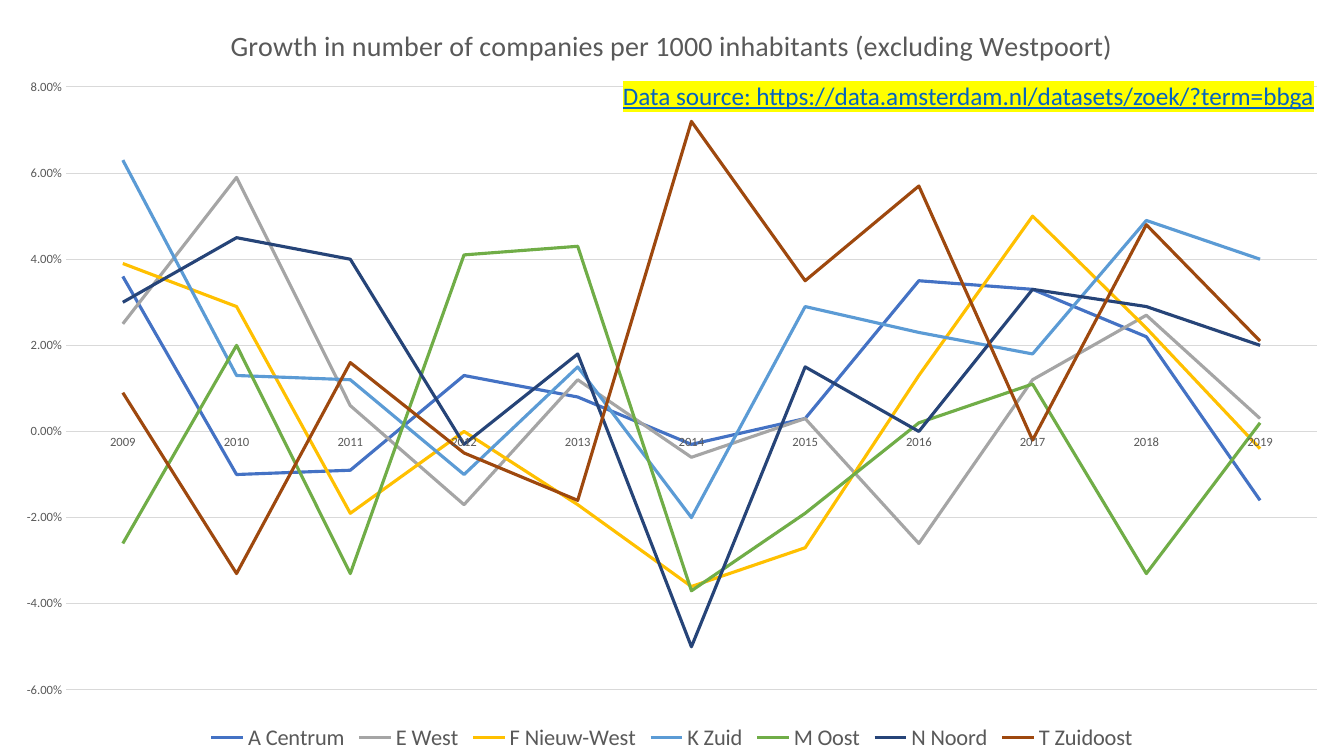
import lxml.etree
import pptx
import pptx.chart.data
import pptx.dml.color
import pptx.enum.chart
import pptx.enum.text
import pptx.oxml
import pptx.oxml.ns
import pptx.util

RGBColor = pptx.dml.color.RGBColor
EMU_PER_PX = 12192000 / 1344
SLIDE_WIDTH, SLIDE_HEIGHT = 1344, 756
FONT = "Calibri"

TEXT_GREY = RGBColor(0x59, 0x59, 0x59)
GRID_GREY = RGBColor(0xD9, 0xD9, 0xD9)
LINK_BLUE = RGBColor(0x05, 0x63, 0xC1)
HIGHLIGHT_YELLOW = RGBColor(0xFF, 0xFF, 0x00)

TITLE = "Growth in number of companies per 1000 inhabitants (excluding Westpoort)"
SOURCE = "Data source: https://data.amsterdam.nl/datasets/zoek/?term=bbga"
YEARS = [str(year) for year in range(2009, 2020)]

# District, line colour, yearly growth
DISTRICTS = [
    ("A Centrum", RGBColor(0x44, 0x72, 0xC4),
     (0.036, -0.01, -0.009, 0.013, 0.008, -0.003, 0.003, 0.035, 0.033, 0.022, -0.016)),
    ("E West", RGBColor(0xA5, 0xA5, 0xA5),
     (0.025, 0.059, 0.006, -0.017, 0.012, -0.006, 0.003, -0.026, 0.012, 0.027, 0.003)),
    ("F Nieuw-West", RGBColor(0xFF, 0xC0, 0x00),
     (0.039, 0.029, -0.019, 0, -0.017, -0.036, -0.027, 0.013, 0.05, 0.024, -0.004)),
    ("K Zuid", RGBColor(0x5B, 0x9B, 0xD5),
     (0.063, 0.013, 0.012, -0.01, 0.015, -0.02, 0.029, 0.023, 0.018, 0.049, 0.04)),
    ("M Oost", RGBColor(0x70, 0xAD, 0x47),
     (-0.026, 0.02, -0.033, 0.041, 0.043, -0.037, -0.019, 0.002, 0.011, -0.033, 0.002)),
    ("N Noord", RGBColor(0x26, 0x44, 0x78),
     (0.03, 0.045, 0.04, -0.003, 0.018, -0.05, 0.015, 0, 0.033, 0.029, 0.02)),
    ("T Zuidoost", RGBColor(0x9E, 0x48, 0x0E),
     (0.009, -0.033, 0.016, -0.005, -0.016, 0.072, 0.035, 0.057, -0.002, 0.048, 0.021)),
]


def px(length):
    return pptx.util.Emu(round(length * EMU_PER_PX))


def format_font(font, size, color):
    font.name = FONT
    font.size = pptx.util.Pt(size)
    font.bold = False
    font.color.rgb = color


def format_line(line, color, width):
    line.color.rgb = color
    line.width = pptx.util.Pt(width)


def place_plot_area(chart, left, top, width, height):
    """Fix the inner plot area, given in px on the slide."""
    plot_area = chart.plots[0]._element.getparent()
    for layout in plot_area.findall(pptx.oxml.ns.qn("c:layout")):
        plot_area.remove(layout)
    layout = pptx.oxml.parse_xml(
        f'<c:layout {pptx.oxml.ns.nsdecls("c")}><c:manualLayout/></c:layout>')
    settings = [("layoutTarget", "inner"), ("xMode", "edge"), ("yMode", "edge"),
                ("x", left / SLIDE_WIDTH), ("y", top / SLIDE_HEIGHT),
                ("w", width / SLIDE_WIDTH), ("h", height / SLIDE_HEIGHT)]
    for name, value in settings:
        tag = pptx.oxml.ns.qn(f"c:{name}")
        lxml.etree.SubElement(layout[0], tag).set("val", str(value))
    plot_area.insert(0, layout)


def format_axis(axis):
    axis.major_tick_mark = pptx.enum.chart.XL_TICK_MARK.NONE
    axis.minor_tick_mark = pptx.enum.chart.XL_TICK_MARK.NONE
    format_font(axis.tick_labels.font, 9, TEXT_GREY)


def add_growth_chart(slide):
    data = pptx.chart.data.CategoryChartData(number_format="0.00%")
    data.categories = YEARS
    for name, _, growth in DISTRICTS:
        data.add_series(name, growth)
    chart = slide.shapes.add_chart(
        pptx.enum.chart.XL_CHART_TYPE.LINE, 0, 0,
        px(SLIDE_WIDTH), px(SLIDE_HEIGHT), data).chart
    format_font(chart.font, 10, TEXT_GREY)
    place_plot_area(chart, 66, 87, 1251, 603)

    # Title and legend
    chart.has_title = True
    title_run = chart.chart_title.text_frame.paragraphs[0].add_run()
    title_run.text = TITLE
    format_font(title_run.font, 20, TEXT_GREY)
    chart.chart_title.include_in_layout = False
    chart.has_legend = True
    chart.legend.position = pptx.enum.chart.XL_LEGEND_POSITION.BOTTOM
    chart.legend.include_in_layout = False
    format_font(chart.legend.font, 16, TEXT_GREY)

    # Axes
    format_axis(chart.category_axis)
    format_line(chart.category_axis.format.line, GRID_GREY, 0.75)
    value_axis = chart.value_axis
    format_axis(value_axis)
    value_axis.format.line.fill.background()
    value_axis.minimum_scale = -0.06
    value_axis.maximum_scale = 0.08
    value_axis.major_unit = 0.02
    value_axis.tick_labels.number_format = "0.00%"
    value_axis.tick_labels.number_format_is_linked = False
    format_line(value_axis.major_gridlines.format.line, GRID_GREY, 0.75)

    # District lines
    plot = chart.plots[0]
    plot.vary_by_categories = False
    for series, (_, color, _) in zip(plot.series, DISTRICTS):
        series.smooth = False
        series.marker.style = pptx.enum.chart.XL_MARKER_STYLE.NONE
        format_line(series.format.line, color, 2.25)


def highlight(run, color):
    element = pptx.oxml.parse_xml(
        f'<a:highlight {pptx.oxml.ns.nsdecls("a")}>'
        f'<a:srgbClr val="{color}"/></a:highlight>')
    run.font._element.find(pptx.oxml.ns.qn("a:solidFill")).addnext(element)


def add_source_label(slide, left, top, width, height):
    text_box = slide.shapes.add_textbox(px(left), px(top), px(width), px(height))
    frame = text_box.text_frame
    frame.word_wrap = False
    frame.auto_size = pptx.enum.text.MSO_AUTO_SIZE.SHAPE_TO_FIT_TEXT
    run = frame.paragraphs[0].add_run()
    run.text = SOURCE
    format_font(run.font, 18, LINK_BLUE)
    run.font.underline = True
    highlight(run, HIGHLIGHT_YELLOW)


def main():
    presentation = pptx.Presentation()
    presentation.slide_width = px(SLIDE_WIDTH)
    presentation.slide_height = px(SLIDE_HEIGHT)
    blank_layout = presentation.slide_layouts[6]
    slide = presentation.slides.add_slide(blank_layout)
    add_growth_chart(slide)
    add_source_label(slide, 613, 75, 720, 40)
    presentation.save("out.pptx")


if __name__ == "__main__":
    main()
